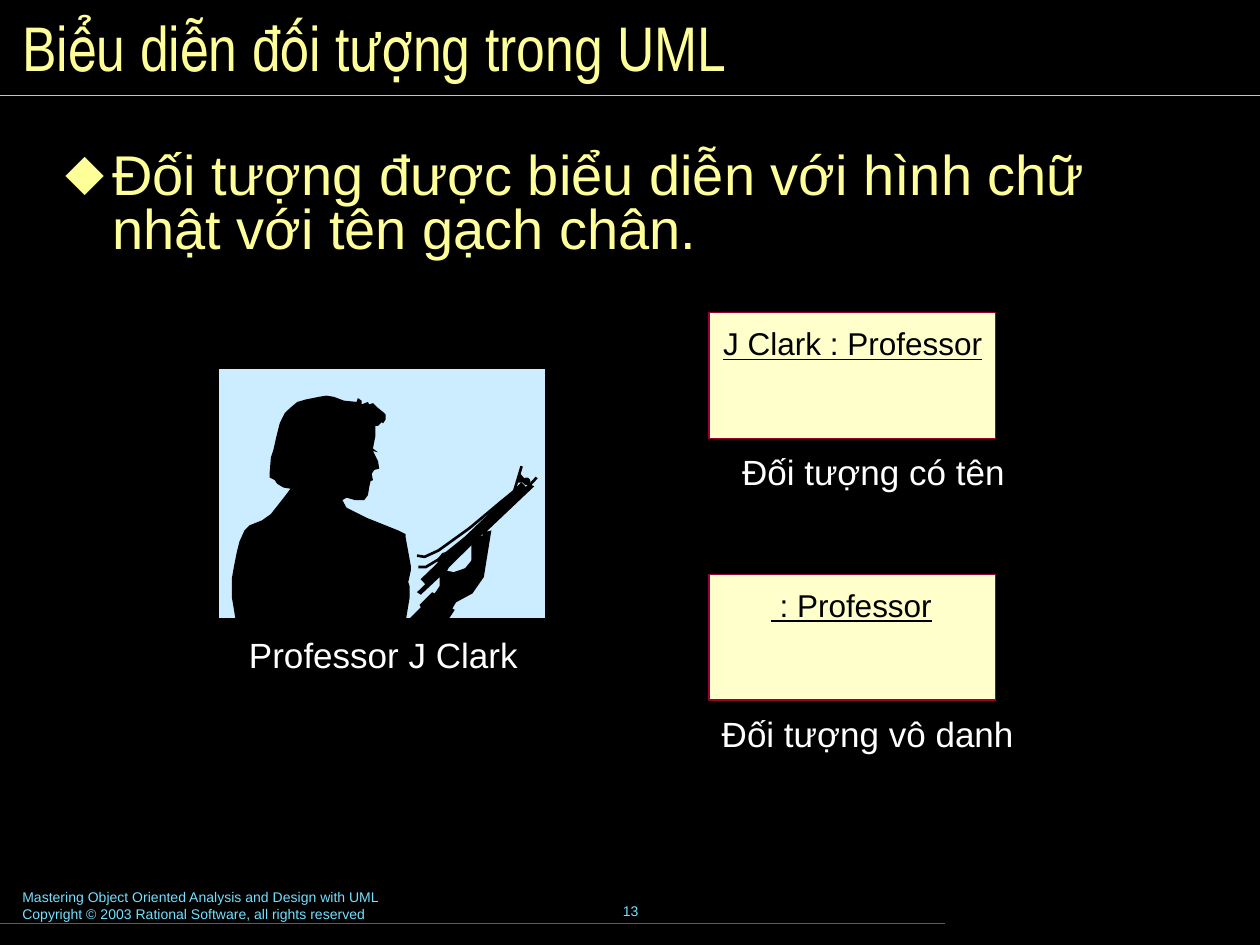
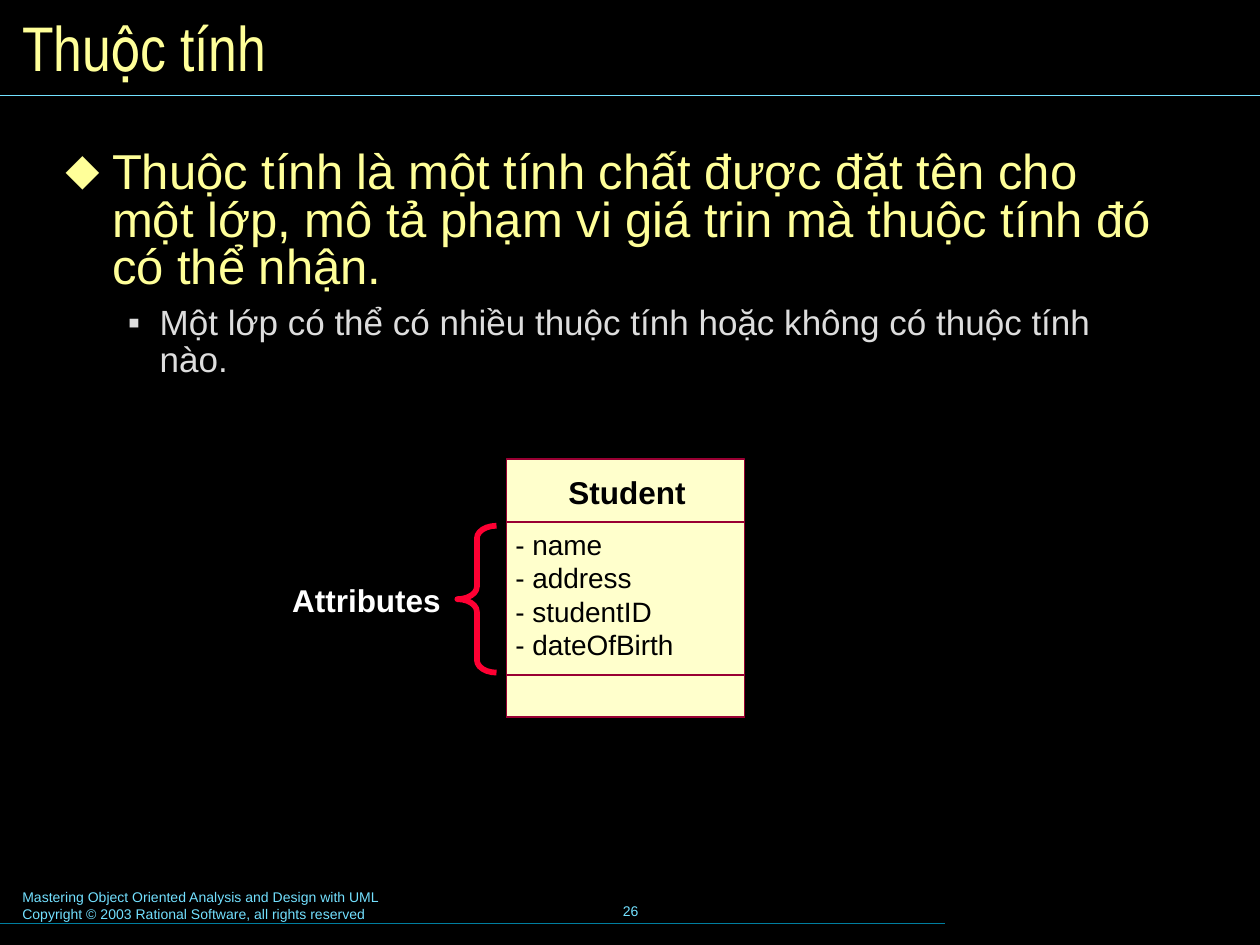
from lxml.etree import SubElement
from pptx import Presentation
from pptx.dml.color import RGBColor
from pptx.enum.shapes import MSO_CONNECTOR, MSO_SHAPE
from pptx.enum.text import MSO_ANCHOR, MSO_AUTO_SIZE, PP_ALIGN
from pptx.oxml.ns import qn
from pptx.shapes.connector import Connector
from pptx.util import Cm, Pt

BLACK, WHITE, YELLOW, GREY = "000000", "FFFFFF", "FFFF99", "DDDDDD"
CYAN, TEAL, SKY = "73E1FF", "007E9F", "CCECFF"
CREAM, MAROON, RED = "FFFFCC", "990033", "FF0033"
NARROW_INSET, WIDE_INSET = (0.25, 0.13), (0.3, 0.15)
FIGURE_UNIT = Cm(2.54) / 100  # the figure is drawn on a fine grid

FOOTER = ("Mastering Object Oriented Analysis and Design with UML\n"
          "Copyright © 2003 Rational Software, all rights reserved")

SLIDES = [
    {"title": "Biểu diễn đối tượng trong UML", "number": "13",
     "body_size": (21.84, 5.13),
     "points": [("Đối tượng được biểu diễn với hình chữ nhật với tên gạch chân.",
                 0, 32)]},
    {"title": "Thuộc tính", "number": "26",
     "body_size": (22.68, 14.02),
     "points": [("Thuộc tính là một tính chất được đặt tên cho một lớp, "
                 "mô tả phạm vi giá trin mà thuộc tính đó có thể nhận.", 0, 28),
                ("Một lớp có thể có nhiều thuộc tính hoặc không có thuộc tính nào.",
                 1, 20)]},
]

# Per list level: colour, bullet, left margin, hanging indent, line spacing, space before
LEVELS = [(YELLOW, "⬥", 0.94, 0.94, 0.8, 0),
          (GREY, "▪", 1.9, 0.64, 0.87, 7.5)]


def paint(sp, fill=None, line=None, width=1):
    """Set fill and outline from hex colours and remove the shadow."""
    if line:
        sp.line.color.rgb = RGBColor.from_string(line)
        sp.line.width = Pt(width)
    else:
        sp.line.fill.background()
    if isinstance(sp, Connector):
        SubElement(sp._element.spPr, qn("a:effectLst"))
        return
    sp.shadow.inherit = False
    if fill:
        sp.fill.solid()
        sp.fill.fore_color.rgb = RGBColor.from_string(fill)
    else:
        sp.fill.background()


def write(sp, box, text, size, color, inset=(0, 0), wrap=False, font="Arial",
          bold=False, underline=False, align=PP_ALIGN.LEFT, anchor=MSO_ANCHOR.TOP):
    """Place a text box or placeholder (lengths in cm) and fill it."""
    sp.left, sp.top, sp.width, sp.height = [Cm(v) for v in box]
    tf = sp.text_frame
    tf.text = text
    tf.auto_size = MSO_AUTO_SIZE.NONE
    tf.word_wrap = wrap
    tf.vertical_anchor = anchor
    tf.margin_left = tf.margin_right = Cm(inset[0])
    tf.margin_top = tf.margin_bottom = Cm(inset[1])
    for p in tf.paragraphs:
        p.alignment = align
        for r in p.runs:
            r.font.name, r.font.size = font, Pt(size)
            r.font.bold, r.font.underline = bold, underline
            r.font.color.rgb = RGBColor.from_string(color)


prs = Presentation()
prs.slide_width, prs.slide_height = Cm(25.4), Cm(19.05)
background = prs.slide_master.background.fill
background.solid()
background.fore_color.rgb = RGBColor.from_string(BLACK)

# Title, list, rules and footer of every slide
for content in SLIDES:
    s = prs.slides.add_slide(prs.slide_layouts[1])
    shapes = s.shapes
    write(shapes.add_textbox(0, 0, 0, 0), (0.2, 17.78, 12.95, 0.94), FOOTER, 8, CYAN,
          NARROW_INSET, wrap=True)
    write(shapes.add_textbox(0, 0, 0, 0), (8.69, 17.73, 8.05, 1.27), content["number"],
          8, CYAN, NARROW_INSET, align=PP_ALIGN.CENTER, anchor=MSO_ANCHOR.MIDDLE)
    for y, length, color in [(18.62, 19.05, TEAL), (1.93, 25.4, CYAN)]:
        rule = shapes.add_connector(MSO_CONNECTOR.STRAIGHT, 0, Cm(y), Cm(length), Cm(y))
        paint(rule, line=color, width=0.75)

    write(shapes.title, (0.2, 0.2, 25, 1.47), content["title"], 36, YELLOW,
          NARROW_INSET, wrap=True, font="Arial Narrow", anchor=MSO_ANCHOR.MIDDLE)

    body = s.placeholders[1]
    write(body, (1.02, 2.92, *content["body_size"]),
          "\n".join(text for text, level, size in content["points"]), 20, YELLOW,
          WIDE_INSET, wrap=True)
    for p, (text, level, size) in zip(body.text_frame.paragraphs, content["points"]):
        color, bullet, margin, hanging, spacing, before = LEVELS[level]
        p.level = level
        p.line_spacing, p.space_before = spacing, Pt(before)
        pPr = p._p.get_or_add_pPr()
        pPr.set("marL", str(Cm(margin)))
        pPr.set("indent", str(-Cm(hanging)))
        SubElement(SubElement(pPr, qn("a:buClr")), qn("a:srgbClr"), val=color)
        SubElement(pPr, qn("a:buFont"), typeface="Arial")
        SubElement(pPr, qn("a:buChar"), char=bullet)
        for r in p.runs:
            r.font.size = Pt(size)
            r.font.color.rgb = RGBColor.from_string(color)

# Slide 1: silhouette of a professor
shapes = prs.slides[0].shapes
panel = [(173, 292), (433, 292), (433, 491), (173, 491)]
torso = [(322, 493), (325, 475), (325, 465), (324, 462), (326, 453), (326, 449),
         (322, 427), (322, 424), (316, 421), (291, 411), (275, 403), (269, 392),
         (267, 389), (258, 387), (241, 386), (232, 386), (226, 394), (215, 408),
         (208, 413), (198, 417), (194, 421), (190, 430), (188, 438), (186, 448),
         (184, 459), (184, 474), (187, 492)]
arm = [(384, 458), (375, 471), (362, 478), (359, 483), (361, 484), (357, 490),
       (354, 492), (324, 492), (334, 482), (333, 480), (343, 470), (345, 471),
       (349, 465), (349, 458), (334, 472), (331, 470), (420, 384), (424, 386),
       (386, 422), (390, 421)]
head = [(225, 387), (220, 384), (218, 381), (214, 379), (214, 375), (215, 363),
        (217, 357), (219, 348), (221, 340), (222, 336), (226, 328), (230, 324),
        (236, 319), (243, 317), (253, 315), (259, 314), (265, 315), (273, 318),
        (283, 319), (284, 316), (287, 318), (287, 321), (292, 319), (293, 321),
        (296, 320), (299, 323), (304, 327), (306, 329), (306, 333), (304, 336),
        (303, 335), (300, 338), (298, 338), (298, 346), (296, 356), (300, 359),
        (296, 358), (297, 360), (300, 366), (301, 372), (297, 373), (295, 376),
        (296, 381), (294, 382), (293, 387), (292, 393), (289, 397), (282, 397),
        (275, 395), (270, 398), (264, 395), (243, 390)]
palm = [(356, 451), (355, 453), (360, 454), (369, 451), (378, 440), (382, 430),
        (383, 424)]
thumb = [(348, 451), (347, 444), (351, 439), (358, 437), (361, 440)]
clip = [(411, 383), (419, 383), (413, 376)]
upper_sheet = [(331, 441), (337, 442), (348, 437), (373, 419), (398, 398), (414, 385)]
lower_sheet = [(332, 450), (338, 450), (348, 444), (373, 424), (398, 400), (414, 385)]

for points, fill, line, width in [
        (panel, SKY, BLACK, 0.75), (torso, BLACK, None, 0), (arm, BLACK, None, 0),
        (head, BLACK, None, 0), (lower_sheet, None, BLACK, 1.5),
        (upper_sheet, None, BLACK, 1.5), (palm, SKY, None, 0),
        (thumb, BLACK, None, 0), (clip, BLACK, None, 0)]:
    outline = shapes.build_freeform(*points[0], scale=FIGURE_UNIT)
    outline.add_line_segments(points[1:], close=fill is not None)
    paint(outline.convert_to_shape(), fill, line, width)

for *ends, width in [(411, 395, 426, 379, 1.5), (408, 390, 414, 370, 1.5),
                     (416, 385, 336, 462, 4.5)]:
    stroke = shapes.add_connector(MSO_CONNECTOR.STRAIGHT,
                                  *[int(v * FIGURE_UNIT) for v in ends])
    paint(stroke, line=BLACK, width=width)

for kind, *box, angle in [(MSO_SHAPE.RECTANGLE, 377, 425, 5, 27, 8.9),
                          (MSO_SHAPE.RECTANGLE, 374, 427, 5, 26, 0),
                          (MSO_SHAPE.OVAL, 415, 379, 6, 6, 0)]:
    sp = shapes.add_shape(kind, *[int(v * FIGURE_UNIT) for v in box])
    sp.rotation = angle
    paint(sp, BLACK)

write(shapes.add_textbox(0, 0, 0, 0), (4.72, 12.62, 6.02, 1.14), "Professor J Clark",
      20, WHITE, WIDE_INSET)

# Slide 1: named and anonymous object
for top, name, name_x, name_w, caption, caption_x, caption_w in [
        (6.3, "J Clark : Professor", 14.58, 5.23, "Đối tượng có tên", 14.66, 5.89),
        (11.58, " : Professor", 15.54, 3.25, "Đối tượng vô danh", 14.25, 6.5)]:
    sp = shapes.add_shape(MSO_SHAPE.RECTANGLE, Cm(14.3), Cm(top), Cm(5.77), Cm(2.54))
    paint(sp, CREAM, MAROON)
    write(shapes.add_textbox(0, 0, 0, 0), (name_x, top + 0.24, name_w, 0.76), name,
          18, BLACK, underline=True)
    write(shapes.add_textbox(0, 0, 0, 0), (caption_x, top + 2.63, caption_w, 1.14),
          caption, 20, WHITE, WIDE_INSET)

# Slide 2: Student class with its attributes
shapes = prs.slides[1].shapes
class_bottom = 14.46
for top in (9.25, 10.53, 13.61):
    sp = shapes.add_shape(MSO_SHAPE.RECTANGLE, Cm(10.21), Cm(top), Cm(4.8),
                          Cm(class_bottom - top))
    paint(sp, CREAM, MAROON)
write(shapes.add_textbox(0, 0, 0, 0), (11.46, 9.53, 2.36, 0.76), "Student", 18, BLACK,
      bold=True)
for i, attribute in enumerate(["name", "address", "studentID", "dateOfBirth"]):
    write(shapes.add_textbox(0, 0, 0, 0), (10.39, 10.64 + 0.67 * i, 3.76, 0.69),
          f"- {attribute}", 16, BLACK, wrap=True)

brace = shapes.add_shape(MSO_SHAPE.LEFT_BRACE, Cm(9.22), Cm(10.6), Cm(0.79), Cm(2.96))
brace.adjustments[0] = 0.32
paint(brace, line=RED, width=3.25)
write(shapes.add_textbox(0, 0, 0, 0), (5.59, 11.56, 3.61, 1.07), "Attributes", 18, WHITE,
      WIDE_INSET, bold=True)

prs.save("out.pptx")
